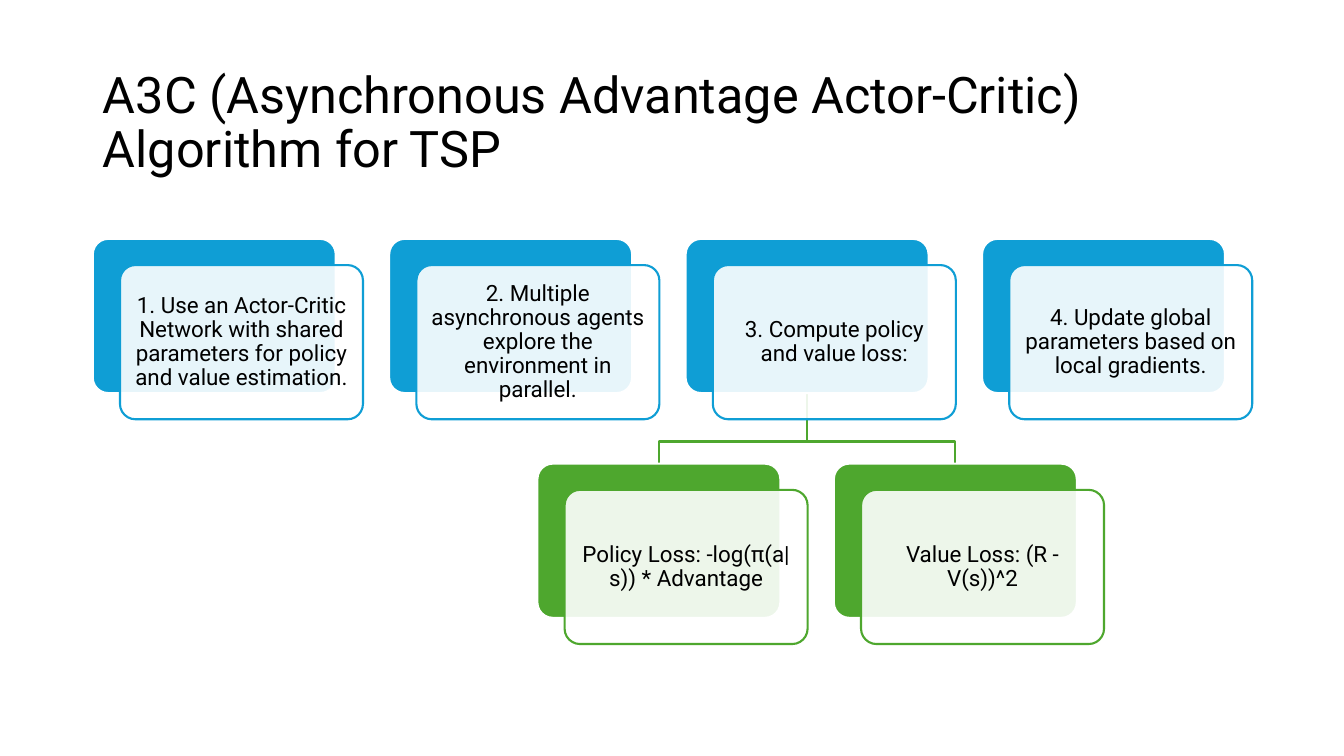
from lxml import etree
from pptx import Presentation
from pptx.dml.color import RGBColor
from pptx.enum.shapes import MSO_SHAPE as Shape
from pptx.enum.text import MSO_ANCHOR as Anchor, MSO_AUTO_SIZE as AutoSize, PP_ALIGN as Align
from pptx.oxml.ns import qn
from pptx.util import Inches, Pt

COLORS = {"step": "0F9ED5", "loss": "4EA72E", "paper": "FFFFFF", "ink": "000000"}
FONT = "Roboto"
CARD_W, CARD_H = 2.41, 1.53
OFFSET_X, OFFSET_Y = 0.27, 0.26
PITCH = 2.94
STEPS_LEFT, STEPS_TOP = 0.92, 2.37
LOSSES_TOP = 4.6
PARENT_INDEX = 2

STEPS = [
    "1. Use an Actor-Critic Network with shared parameters for policy and value estimation.",
    "2. Multiple asynchronous agents explore the environment in parallel.",
    "3. Compute policy and value loss:",
    "4. Update global parameters based on local gradients.",
]
LOSSES = ["Policy Loss: -log(π(a|s)) * Advantage", "Value Loss: (R - V(s))^2"]


def rgb(name):
    return RGBColor.from_string(COLORS[name])


def write(frame, text, size, align):
    frame.word_wrap = True
    frame.auto_size = AutoSize.NONE
    frame.vertical_anchor = Anchor.MIDDLE
    frame.text = text
    paragraph = frame.paragraphs[0]
    paragraph.alignment = align
    paragraph.line_spacing = 0.9
    paragraph.font.name = FONT
    paragraph.font.size = Pt(size)
    paragraph.font.color.rgb = rgb("ink")


def add_title(slide, text, left, top, width, height):
    title = slide.shapes.title
    title.left, title.top = Inches(left), Inches(top)
    title.width, title.height = Inches(width), Inches(height)
    write(title.text_frame, text, 36, Align.LEFT)


def add_panel(slide, left, top, fill, outline):
    panel = slide.shapes.add_shape(
        Shape.ROUNDED_RECTANGLE, Inches(left), Inches(top), Inches(CARD_W), Inches(CARD_H)
    )
    panel.adjustments[0] = 0.1
    panel.shadow.inherit = False
    panel.fill.solid()
    panel.fill.fore_color.rgb = rgb(fill)
    panel.line.color.rgb = rgb(outline)
    panel.line.width = Pt(1.5)
    return panel


def add_card(slide, text, left, top, color):
    add_panel(slide, left, top, color, "paper")
    front = add_panel(slide, left + OFFSET_X, top + OFFSET_Y, "paper", color)
    fill_color = front.fill._xPr.find(qn("a:solidFill"))[0]
    etree.SubElement(fill_color, qn("a:alpha"), val="90000")
    frame = front.text_frame
    frame.margin_left = frame.margin_right = Inches(0.07)
    frame.margin_top = frame.margin_bottom = Inches(0.07)
    write(frame, text, 16, Align.CENTER)


def add_card_row(slide, texts, left, top, color):
    for index, text in enumerate(texts):
        add_card(slide, text, left + index * PITCH, top, color)


def add_branch(slide, parent_x, parent_y, child_x, child_y):
    bend_y = parent_y + 0.48
    points = [(parent_x, bend_y), (child_x, bend_y), (child_x, child_y)]
    builder = slide.shapes.build_freeform(Inches(parent_x), Inches(parent_y))
    builder.add_line_segments([(Inches(x), Inches(y)) for x, y in points], close=False)
    branch = builder.convert_to_shape()
    branch.shadow.inherit = False
    branch.fill.background()
    branch.line.color.rgb = rgb("loss")
    branch.line.width = Pt(1.5)


def add_hierarchy(slide, left, top):
    parent_left = left + PARENT_INDEX * PITCH
    parent_x = parent_left + CARD_W / 2
    losses_left = parent_left - PITCH * (len(LOSSES) - 1) / 2
    for index in reversed(range(len(LOSSES))):
        child_x = losses_left + index * PITCH + CARD_W / 2
        add_branch(slide, parent_x, top + CARD_H, child_x, LOSSES_TOP)
    add_card_row(slide, STEPS, left, top, "step")
    add_card_row(slide, LOSSES, losses_left, LOSSES_TOP, "loss")


def main():
    deck = Presentation()
    deck.slide_width, deck.slide_height = Inches(13.33), Inches(7.5)
    slide = deck.slides.add_slide(deck.slide_layouts[5])
    add_title(
        slide,
        "A3C (Asynchronous Advantage Actor-Critic) Algorithm for TSP",
        0.92, 0.61, 11.5, 1.24,
    )
    add_hierarchy(slide, STEPS_LEFT, STEPS_TOP)
    deck.save("out.pptx")


if __name__ == "__main__":
    main()
